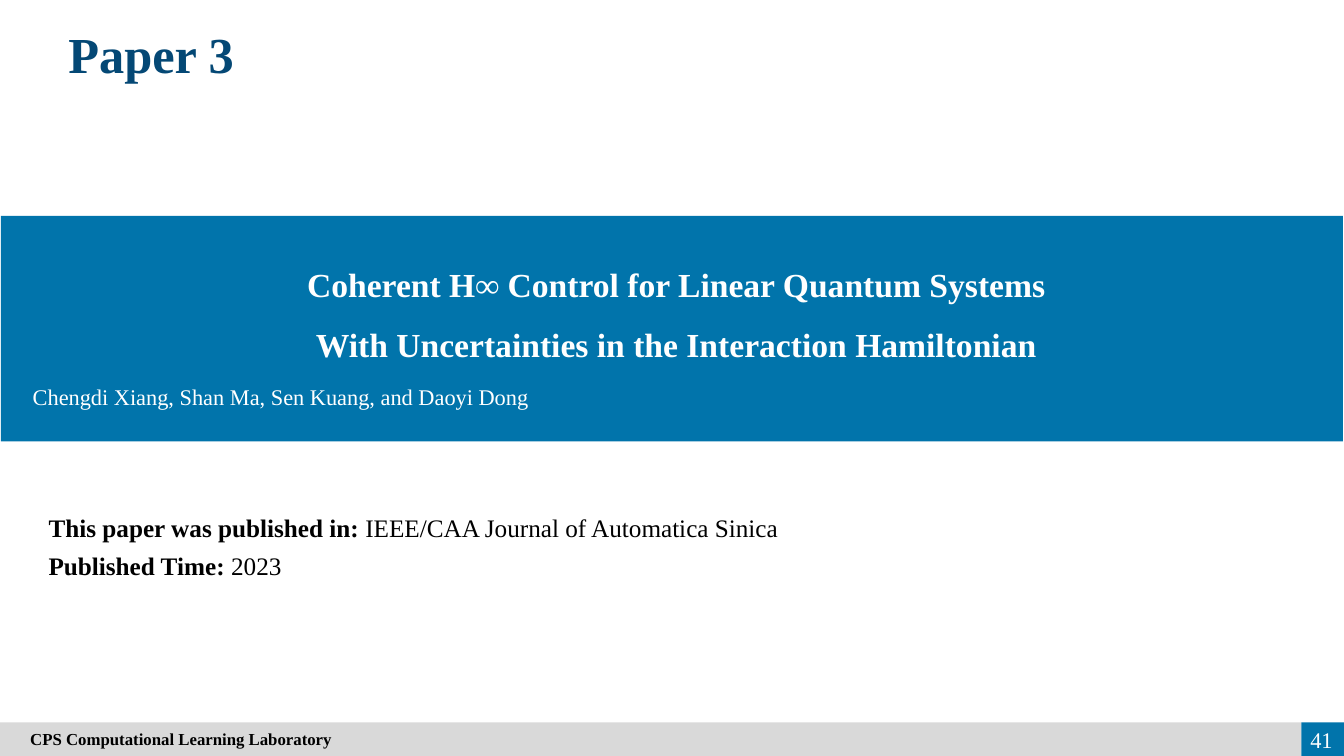
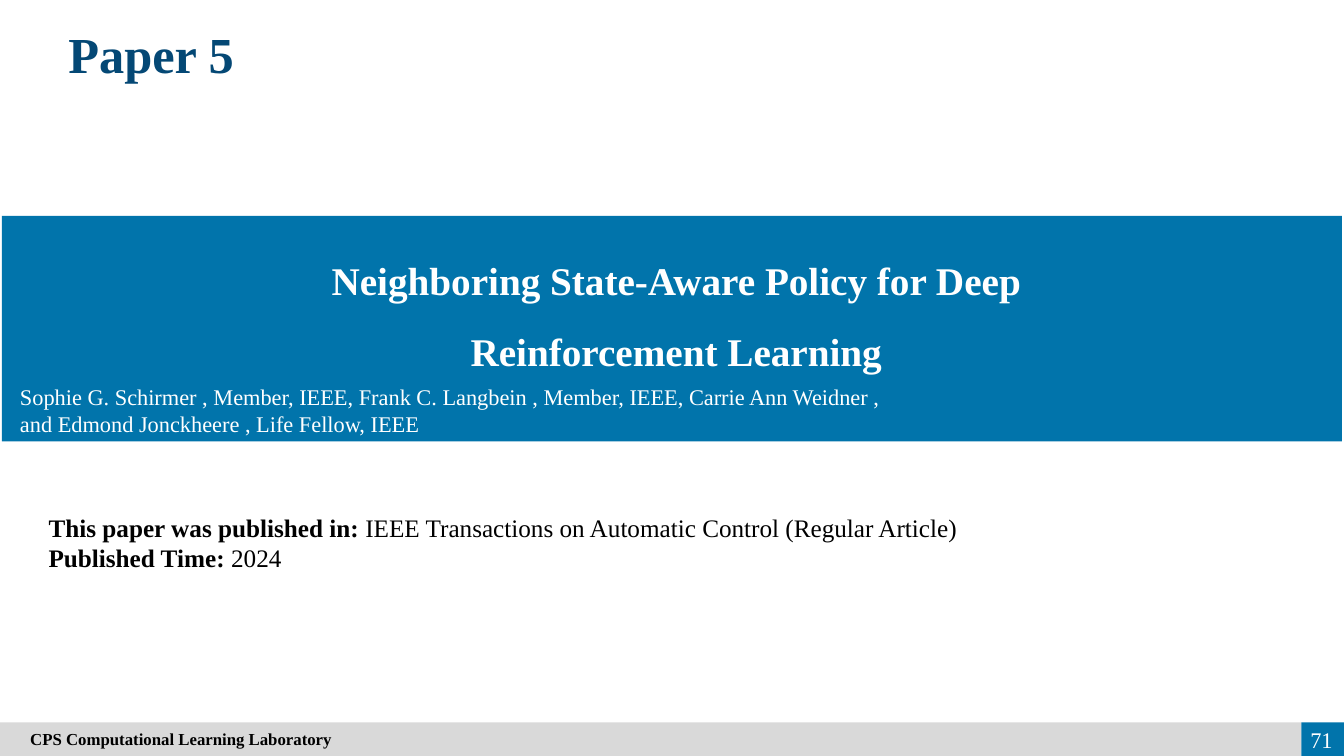
import pptx
import pptx.dml.color
import pptx.enum.shapes
import pptx.enum.text
import pptx.util

Pt = pptx.util.Pt
ALIGN = pptx.enum.text.PP_ALIGN
ANCHOR = pptx.enum.text.MSO_ANCHOR

FONT = "Times New Roman"
BLUE, NAVY, GRAY = "0174AB", "044875", "D9D9D9"
WHITE, BLACK = "FFFFFF", "000000"
WIDTH, HEIGHT = 960, 540
FOOTER_TOP, NUMBER_LEFT = 516, 929.5

PAPERS = [
    {
        "title": "Paper 3",
        "number": "41",
        "band_inset": 0.7,
        "heading": ["Coherent H∞ Control for Linear Quantum Systems",
                    "With Uncertainties in the Interaction Hamiltonian"],
        "heading_size": 24,
        "authors": ["Chengdi Xiang, Shan Ma, Sen Kuang, and Daoyi Dong"],
        "authors_left": 16.3,
        "journal": "IEEE/CAA Journal of Automatica Sinica",
        "year": "2023",
        "fact_gap": 6,
    },
    {
        "title": "Paper 5",
        "number": "71",
        "band_inset": 1.4,
        "heading": ["Neighboring State-Aware Policy for Deep",
                    "Reinforcement Learning"],
        "heading_size": 28,
        "authors": ["Sophie G. Schirmer , Member, IEEE, Frank C. Langbein , "
                    "Member, IEEE, Carrie Ann Weidner ,",
                    "and Edmond Jonckheere , Life Fellow, IEEE"],
        "authors_left": 7.2,
        "journal": "IEEE Transactions on Automatic Control (Regular Article)",
        "year": "2024",
        "fact_gap": 0,
    },
]


def add_bar(slide, left, top, width, height, color):
    bar = slide.shapes.add_shape(pptx.enum.shapes.MSO_SHAPE.RECTANGLE,
                                 Pt(left), Pt(top), Pt(width), Pt(height))
    bar.shadow.inherit = False
    bar.fill.solid()
    bar.fill.fore_color.rgb = pptx.dml.color.RGBColor.from_string(color)
    bar.line.fill.background()
    return bar


def write(shape, lines, size, color, bold=False, align=ALIGN.LEFT,
          anchor=ANCHOR.TOP, line_spacing=1.0, space_after=0):
    """Fill a shape; a line is a string, or a (bold label, plain value) pair."""
    frame = shape.text_frame
    frame.word_wrap = True
    frame.auto_size = pptx.enum.text.MSO_AUTO_SIZE.NONE
    frame.vertical_anchor = anchor
    for index, line in enumerate(lines):
        paragraph = frame.add_paragraph() if index else frame.paragraphs[0]
        paragraph.alignment = align
        paragraph.line_spacing = line_spacing
        paragraph.space_after = Pt(space_after)
        parts = [(line, bold)] if isinstance(line, str) else zip(line, (True, False))
        for text, is_bold in parts:
            run = paragraph.add_run()
            run.text = text
            run.font.name = FONT
            run.font.size = Pt(size)
            run.font.bold = is_bold
            run.font.color.rgb = pptx.dml.color.RGBColor.from_string(color)


presentation = pptx.Presentation()
presentation.slide_width = Pt(WIDTH)
presentation.slide_height = Pt(HEIGHT)
title_only = presentation.slide_layouts[5]

for paper in PAPERS:
    slide = presentation.slides.add_slide(title_only)

    title = slide.shapes.title
    title.left, title.top, title.width, title.height = Pt(27), Pt(13), Pt(162), Pt(51)
    write(title, [paper["title"]], 36, NAVY, bold=True, align=ALIGN.CENTER)

    inset = paper["band_inset"]
    add_bar(slide, inset, 154.3, WIDTH - 2 * inset, 161, BLUE)

    heading = slide.shapes.add_textbox(Pt(20), Pt(161), Pt(926), Pt(112))
    write(heading, paper["heading"], paper["heading_size"], WHITE, bold=True,
          align=ALIGN.CENTER, anchor=ANCHOR.MIDDLE, line_spacing=1.5)

    authors = slide.shapes.add_textbox(Pt(paper["authors_left"]), Pt(270.3),
                                       Pt(930), Pt(46))
    write(authors, paper["authors"], 16, WHITE)

    facts = slide.shapes.add_textbox(Pt(27.6), Pt(362.2), Pt(866), Pt(57))
    write(facts, [("This paper was published in: ", paper["journal"]),
                  ("Published Time: ", paper["year"])],
          18, BLACK, align=ALIGN.JUSTIFY, space_after=paper["fact_gap"])

    footer = add_bar(slide, 0, FOOTER_TOP, NUMBER_LEFT, HEIGHT - FOOTER_TOP, GRAY)
    footer.text_frame.margin_left = Pt(21.6)
    write(footer, ["CPS Computational Learning Laboratory"], 12, BLACK,
          bold=True, anchor=ANCHOR.MIDDLE)

    add_bar(slide, NUMBER_LEFT, FOOTER_TOP, WIDTH - NUMBER_LEFT,
            HEIGHT - FOOTER_TOP, BLUE)
    number = slide.shapes.add_textbox(Pt(913.5), Pt(513.5), Pt(45.5), Pt(29))
    write(number, [paper["number"]], 16, WHITE, align=ALIGN.RIGHT,
          anchor=ANCHOR.MIDDLE)

presentation.save("out.pptx")
